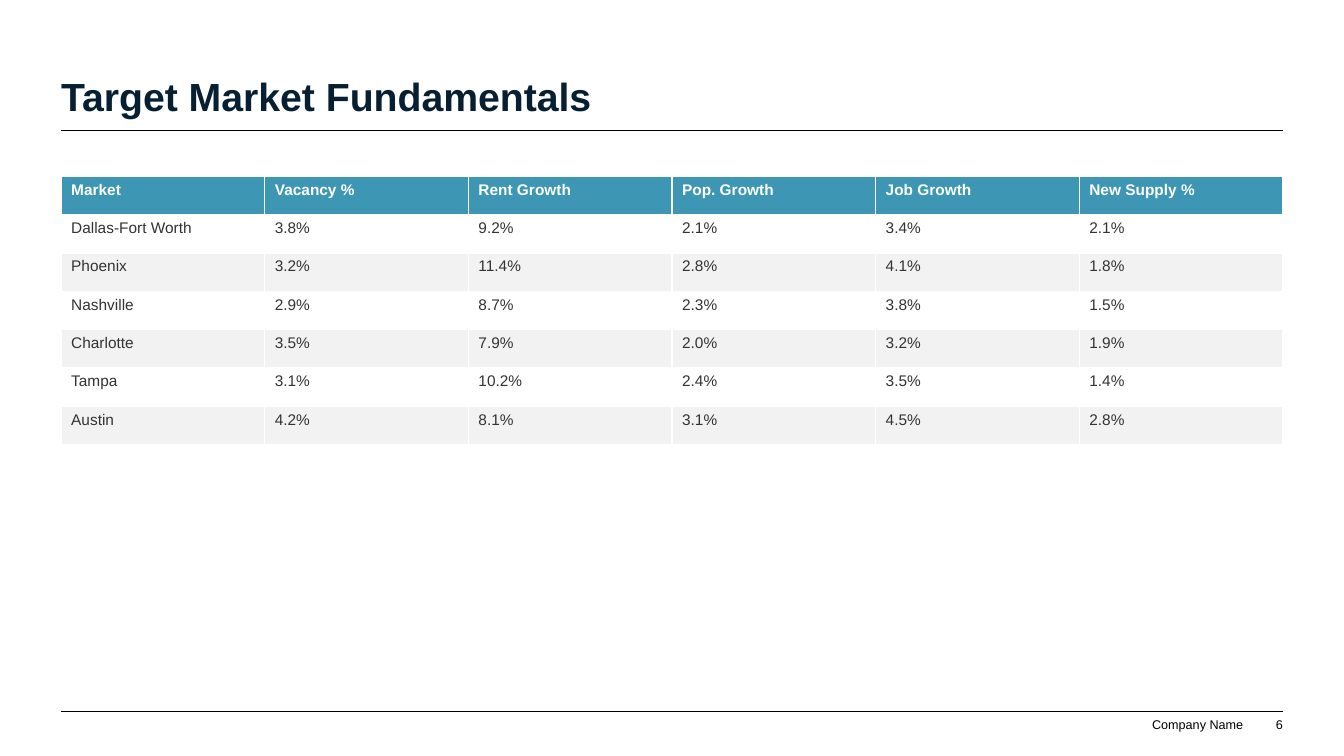
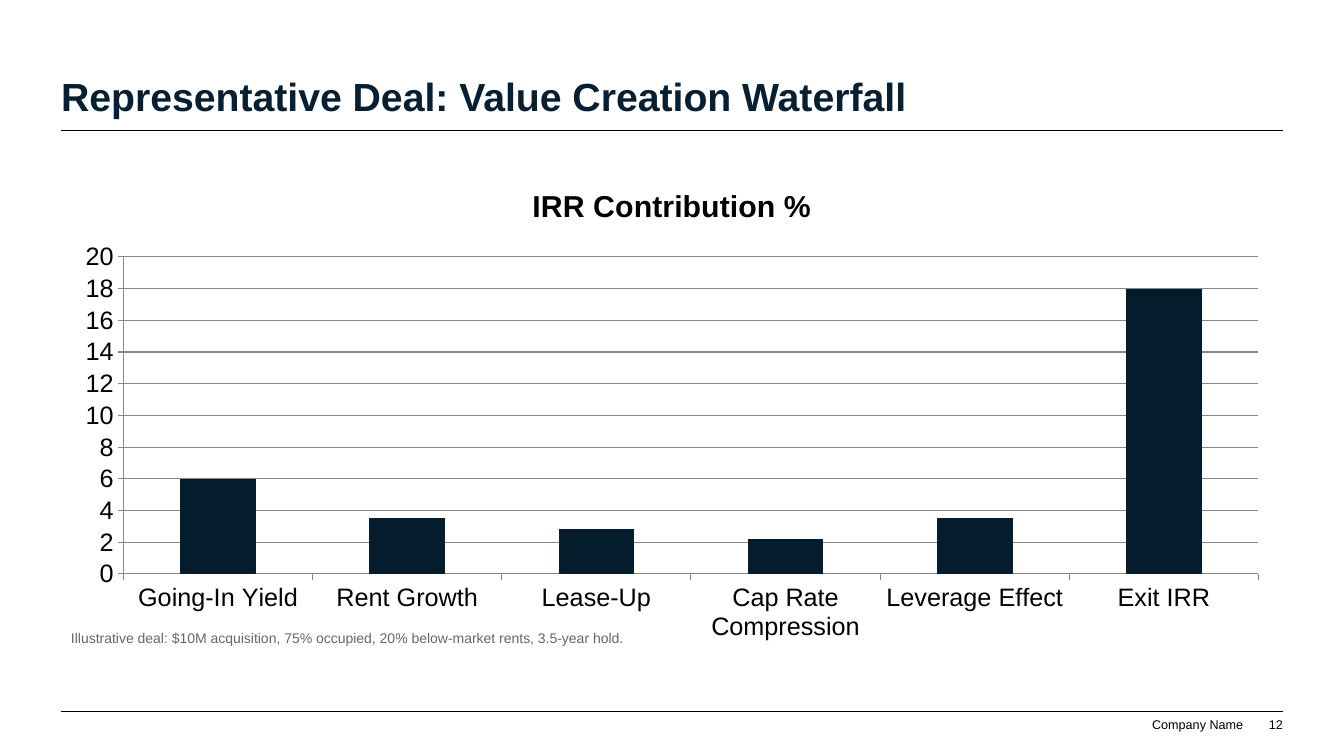
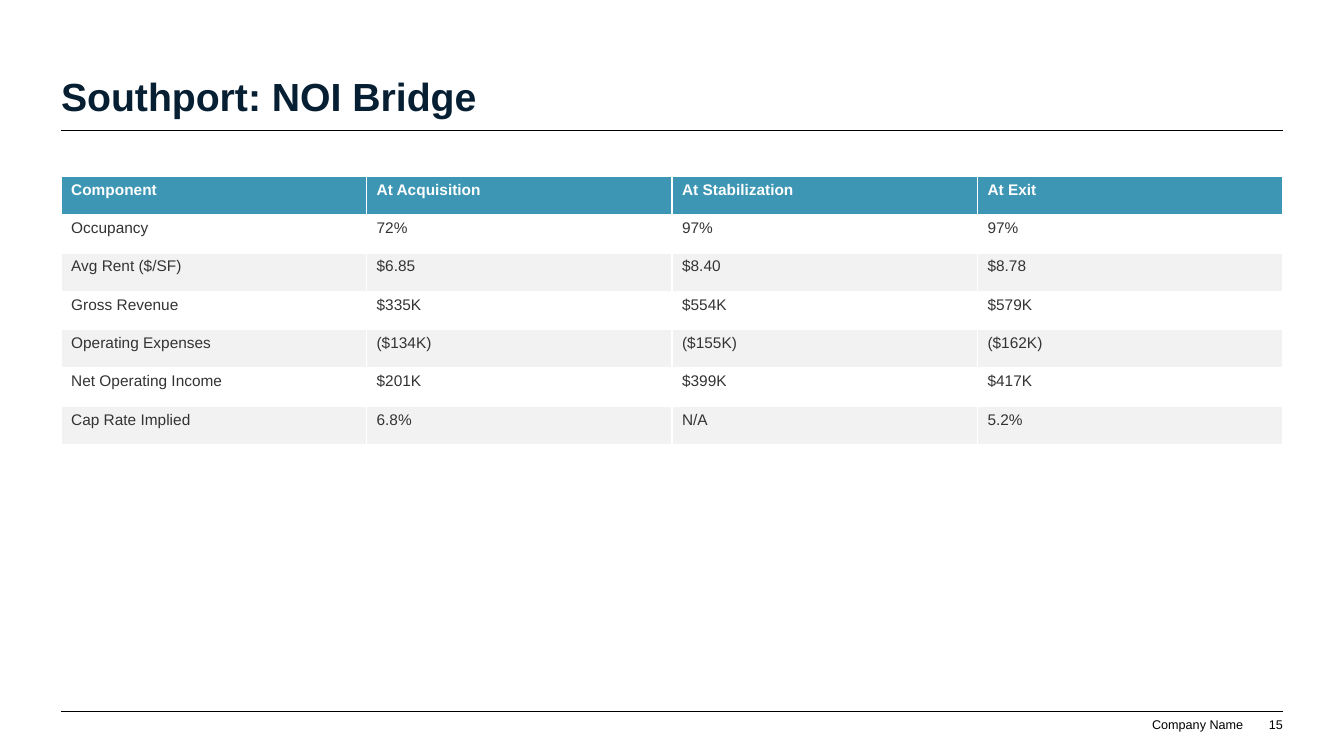
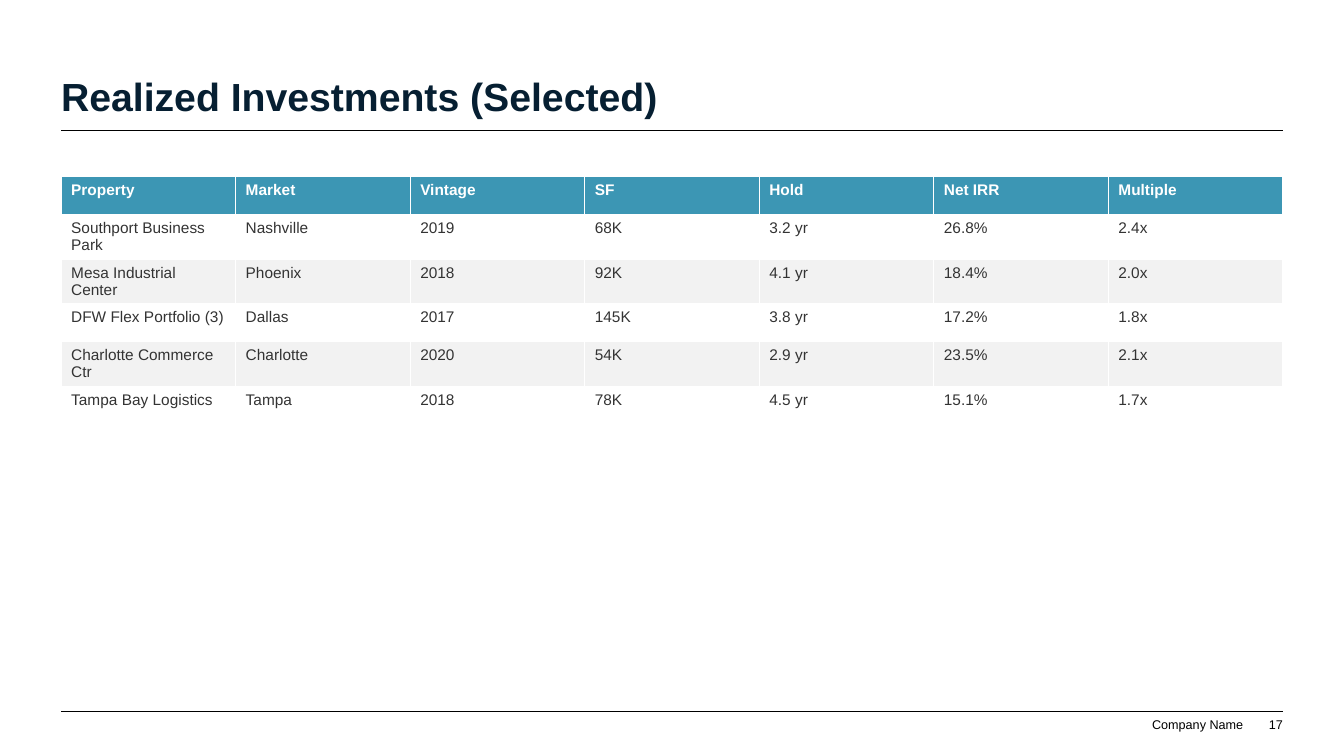
from dataclasses import dataclass

from lxml import etree
from pptx import Presentation
from pptx.chart.data import CategoryChartData
from pptx.dml.color import RGBColor
from pptx.enum.chart import XL_CHART_TYPE, XL_TICK_MARK
from pptx.enum.dml import MSO_THEME_COLOR
from pptx.enum.shapes import MSO_CONNECTOR
from pptx.enum.text import MSO_ANCHOR, MSO_AUTO_SIZE, PP_ALIGN
from pptx.oxml.ns import qn
from pptx.presentation import Presentation as Deck
from pptx.slide import Slide
from pptx.text.text import Font, TextFrame
from pptx.util import Inches, Pt

COLUMN_CLUSTERED = XL_CHART_TYPE.COLUMN_CLUSTERED
TICK_OUTSIDE = XL_TICK_MARK.OUTSIDE
BACKGROUND = MSO_THEME_COLOR.BACKGROUND_1
STRAIGHT = MSO_CONNECTOR.STRAIGHT
BOTTOM = MSO_ANCHOR.BOTTOM
FIXED_SIZE = MSO_AUTO_SIZE.NONE
LEFT, RIGHT = PP_ALIGN.LEFT, PP_ALIGN.RIGHT

TITLE_ONLY = 5


@dataclass(frozen=True)
class Theme:
    font: str = "Arial"
    white: str = "FFFFFF"
    black: str = "000000"
    title: str = "061F32"
    header: str = "3C96B4"
    stripe: str = "F2F2F2"
    body: str = "333333"
    note: str = "666666"
    bar: str = "051C2C"
    title_size: float = 28
    chart_title_size: float = 21.6
    chart_size: float = 18
    table_size: float = 11
    note_size: float = 10
    footer_size: float = 9
    rule_width: float = 0.5


@dataclass(frozen=True)
class Box:
    """A rectangle in inches."""
    left: float
    top: float
    width: float
    height: float

    def emu(self) -> tuple[int, int, int, int]:
        return (Inches(self.left), Inches(self.top),
                Inches(self.width), Inches(self.height))


@dataclass(frozen=True)
class TablePage:
    number: int
    title: str
    rows: list[list[str]]

    def draw_content(self, page: Slide) -> None:
        draw_table(page, self.rows)


@dataclass(frozen=True)
class ChartPage:
    number: int
    title: str
    series: str
    values: dict[str, float]
    note: str

    def draw_content(self, page: Slide) -> None:
        draw_chart(page, self.series, self.values)
        note = page.shapes.add_textbox(*NOTE_BOX.emu()).text_frame
        note.word_wrap = True
        write(note, self.note, THEME.note_size, THEME.note)


THEME = Theme()
SLIDE_WIDTH, SLIDE_HEIGHT = 13.33, 7.5
MARGIN = SLIDE_WIDTH / 22
CONTENT_WIDTH = SLIDE_WIDTH - 2 * MARGIN
CONTENT_RIGHT = MARGIN + CONTENT_WIDTH
RULE_TOPS = (1.29, 7.06)
TABLE_TOP, ROW_HEIGHT = 1.75, 0.38
FOOTER_TOP, FOOTER_HEIGHT = 7.11, 0.15
NUMBER_WIDTH = 0.36

TITLE_BOX = Box(MARGIN, 0.38, CONTENT_WIDTH, 0.8)
CHART_BOX = Box(MARGIN, 1.65, CONTENT_WIDTH, 4.8)
NOTE_BOX = Box(MARGIN, 6.2, CONTENT_WIDTH, 0.5)
COMPANY_BOX = Box(11.42, FOOTER_TOP, 0.91, FOOTER_HEIGHT)
NUMBER_BOX = Box(CONTENT_RIGHT - NUMBER_WIDTH, FOOTER_TOP, NUMBER_WIDTH, FOOTER_HEIGHT)

PAGES = [
    TablePage(6, "Target Market Fundamentals", [
        ["Market", "Vacancy %", "Rent Growth", "Pop. Growth", "Job Growth", "New Supply %"],
        ["Dallas-Fort Worth", "3.8%", "9.2%", "2.1%", "3.4%", "2.1%"],
        ["Phoenix", "3.2%", "11.4%", "2.8%", "4.1%", "1.8%"],
        ["Nashville", "2.9%", "8.7%", "2.3%", "3.8%", "1.5%"],
        ["Charlotte", "3.5%", "7.9%", "2.0%", "3.2%", "1.9%"],
        ["Tampa", "3.1%", "10.2%", "2.4%", "3.5%", "1.4%"],
        ["Austin", "4.2%", "8.1%", "3.1%", "4.5%", "2.8%"],
    ]),
    ChartPage(
        12, "Representative Deal: Value Creation Waterfall", "IRR Contribution %",
        {"Going-In Yield": 6, "Rent Growth": 3.5, "Lease-Up": 2.8,
         "Cap Rate Compression": 2.2, "Leverage Effect": 3.5, "Exit IRR": 18},
        "Illustrative deal: $10M acquisition, 75% occupied, "
        "20% below-market rents, 3.5-year hold.",
    ),
    TablePage(15, "Southport: NOI Bridge", [
        ["Component", "At Acquisition", "At Stabilization", "At Exit"],
        ["Occupancy", "72%", "97%", "97%"],
        ["Avg Rent ($/SF)", "$6.85", "$8.40", "$8.78"],
        ["Gross Revenue", "$335K", "$554K", "$579K"],
        ["Operating Expenses", "($134K)", "($155K)", "($162K)"],
        ["Net Operating Income", "$201K", "$399K", "$417K"],
        ["Cap Rate Implied", "6.8%", "N/A", "5.2%"],
    ]),
    TablePage(17, "Realized Investments (Selected)", [
        ["Property", "Market", "Vintage", "SF", "Hold", "Net IRR", "Multiple"],
        ["Southport Business Park", "Nashville", "2019", "68K", "3.2 yr", "26.8%", "2.4x"],
        ["Mesa Industrial Center", "Phoenix", "2018", "92K", "4.1 yr", "18.4%", "2.0x"],
        ["DFW Flex Portfolio (3)", "Dallas", "2017", "145K", "3.8 yr", "17.2%", "1.8x"],
        ["Charlotte Commerce Ctr", "Charlotte", "2020", "54K", "2.9 yr", "23.5%", "2.1x"],
        ["Tampa Bay Logistics", "Tampa", "2018", "78K", "4.5 yr", "15.1%", "1.7x"],
    ]),
]


def rgb(color: str) -> RGBColor:
    return RGBColor.from_string(color)


def set_font(font: Font, size: float, color: str, bold: bool = False) -> None:
    font.name = THEME.font
    font.size = Pt(size)
    font.bold = bold
    font.color.rgb = rgb(color)


def write(frame: TextFrame, text: str, size: float, color: str,
          bold: bool = False, align: PP_ALIGN = LEFT) -> None:
    frame.text = text
    para = frame.paragraphs[0]
    para.alignment = align
    set_font(para.font, size, color, bold)


def sit_on_bottom(frame: TextFrame) -> None:
    """Remove the insets and rest the text on the lower edge."""
    frame.margin_left = frame.margin_top = frame.margin_right = frame.margin_bottom = 0
    frame.vertical_anchor = BOTTOM
    frame.auto_size = FIXED_SIZE


def draw_title(page: Slide, text: str) -> None:
    title = page.shapes.title
    title.left, title.top, title.width, title.height = TITLE_BOX.emu()
    title.fill.solid()
    title.fill.fore_color.theme_color = BACKGROUND
    sit_on_bottom(title.text_frame)
    write(title.text_frame, text, THEME.title_size, THEME.title, bold=True)


def draw_rule(page: Slide, top: float) -> None:
    rule = page.shapes.add_connector(
        STRAIGHT, Inches(MARGIN), Inches(top), Inches(CONTENT_RIGHT), Inches(top))
    rule.line.color.rgb = rgb(THEME.black)
    rule.line.width = Pt(THEME.rule_width)
    etree.SubElement(rule._element.spPr, qn("a:effectLst"))


def draw_footer(page: Slide, number: int) -> None:
    for box, text in ((COMPANY_BOX, "Company Name"), (NUMBER_BOX, str(number))):
        frame = page.shapes.add_textbox(*box.emu()).text_frame
        frame.word_wrap = False
        sit_on_bottom(frame)
        write(frame, text, THEME.footer_size, THEME.black, align=RIGHT)


def draw_table(page: Slide, rows: list[list[str]]) -> None:
    """Draw a header row and striped body rows in columns of equal width."""
    box = Box(MARGIN, TABLE_TOP, CONTENT_WIDTH, ROW_HEIGHT * len(rows))
    table = page.shapes.add_table(len(rows), len(rows[0]), *box.emu()).table
    for row_index, row in enumerate(rows):
        is_header = row_index == 0
        stripe = THEME.white if row_index % 2 else THEME.stripe
        for column_index, text in enumerate(row):
            cell = table.cell(row_index, column_index)
            cell.fill.solid()
            cell.fill.fore_color.rgb = rgb(THEME.header if is_header else stripe)
            write(cell.text_frame, text, THEME.table_size,
                  THEME.white if is_header else THEME.body, bold=is_header)


def draw_chart(page: Slide, name: str, values: dict[str, float]) -> None:
    data = CategoryChartData()
    data.categories = list(values)
    data.add_series(name, list(values.values()))
    chart = page.shapes.add_chart(COLUMN_CLUSTERED, *CHART_BOX.emu(), data).chart
    set_font(chart.font, THEME.chart_size, THEME.black)
    chart.has_legend = False
    chart.has_title = True
    title = chart.chart_title.text_frame
    title.text = name
    set_font(title.paragraphs[0].font, THEME.chart_title_size, THEME.black, bold=True)

    for axis in (chart.category_axis, chart.value_axis):
        axis.major_tick_mark = TICK_OUTSIDE
    chart.value_axis.has_major_gridlines = True

    plot = chart.plots[0]
    plot.vary_by_categories = False
    plot.gap_width = 150
    fill = plot.series[0].format.fill
    fill.solid()
    fill.fore_color.rgb = rgb(THEME.bar)


def add_page(deck: Deck, content: TablePage | ChartPage) -> None:
    page = deck.slides.add_slide(deck.slide_layouts[TITLE_ONLY])
    draw_title(page, content.title)
    for top in RULE_TOPS:
        draw_rule(page, top)
    draw_footer(page, content.number)
    content.draw_content(page)


def main() -> None:
    deck = Presentation()
    deck.slide_width = Inches(SLIDE_WIDTH)
    deck.slide_height = Inches(SLIDE_HEIGHT)
    for content in PAGES:
        add_page(deck, content)
    deck.save("out.pptx")


if __name__ == "__main__":
    main()
